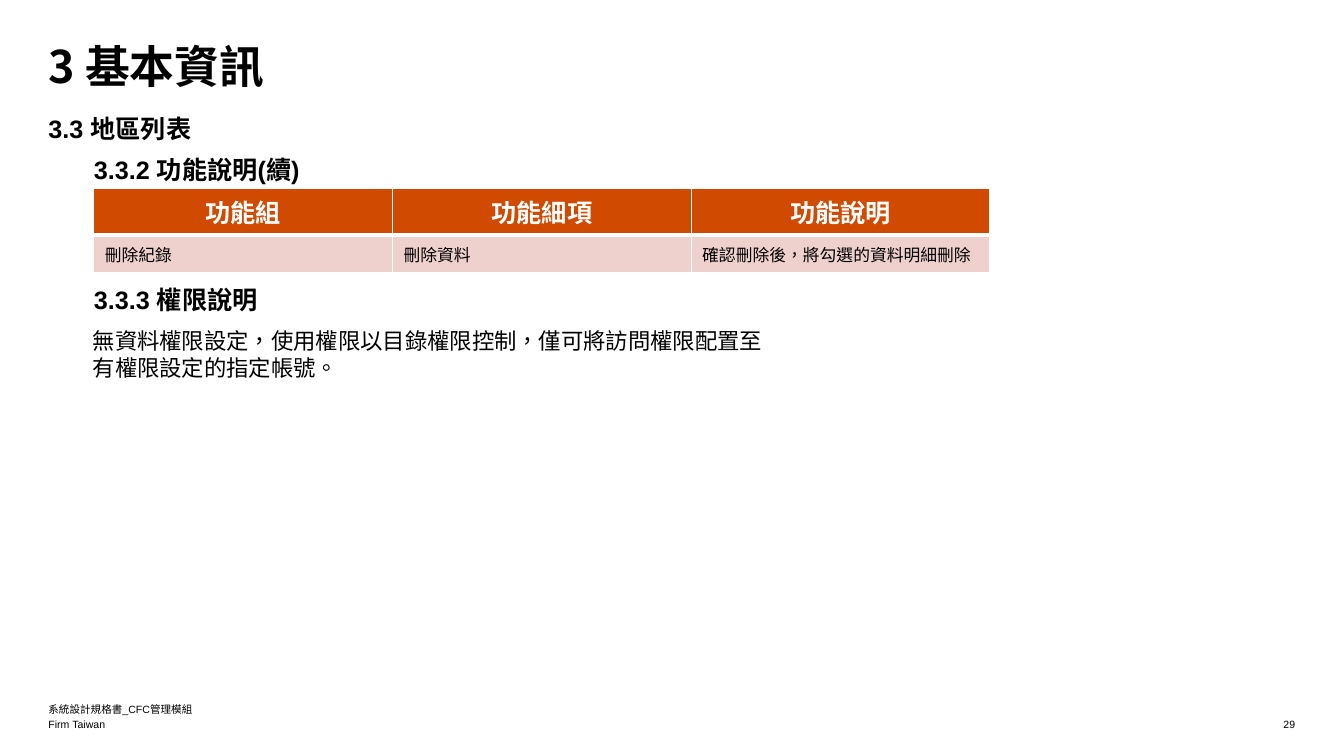
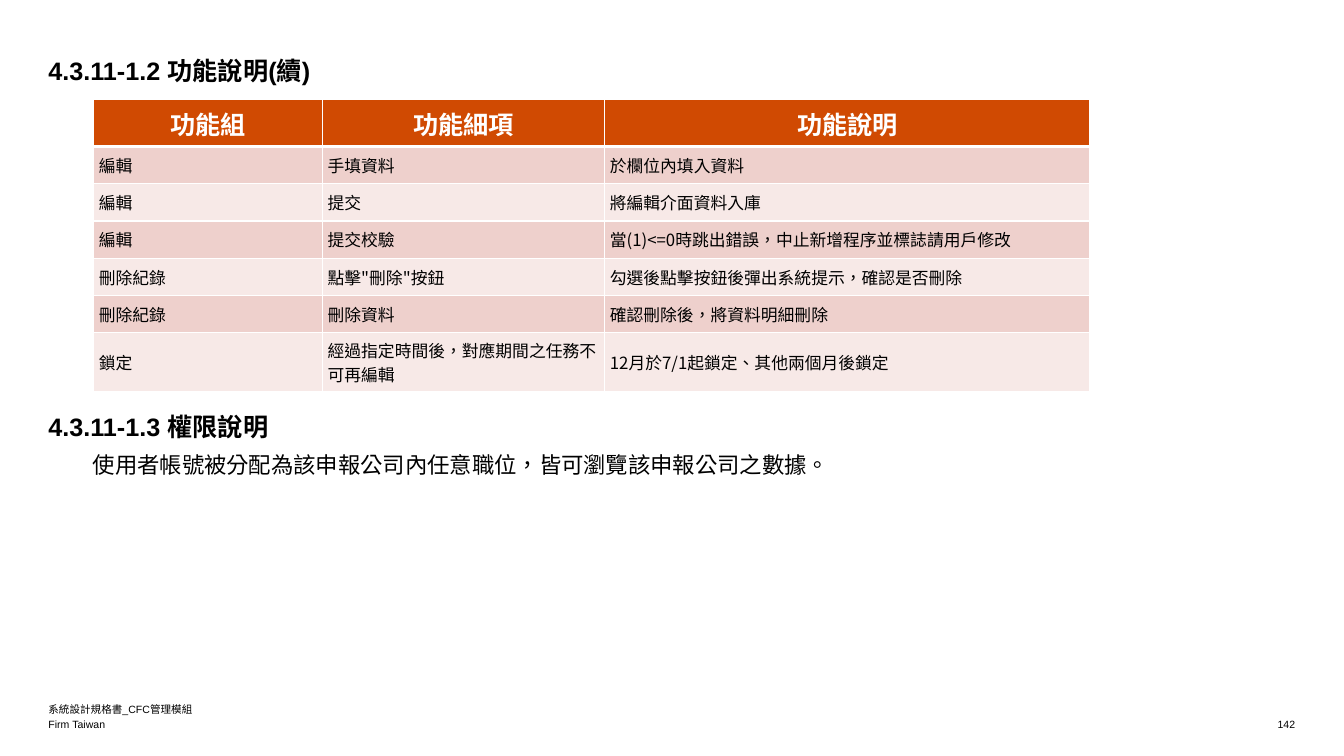
from dataclasses import dataclass

from lxml.etree import SubElement
from pptx import Presentation
from pptx.dml.color import RGBColor
from pptx.enum.lang import MSO_LANGUAGE_ID as Language
from pptx.enum.text import MSO_ANCHOR as Anchor, MSO_AUTO_SIZE as AutoSize, PP_ALIGN as Align
from pptx.oxml.ns import qn
from pptx.util import Pt

BLACK = RGBColor(0x00, 0x00, 0x00)
WHITE = RGBColor(0xFF, 0xFF, 0xFF)
ORANGE = RGBColor(0xD0, 0x4A, 0x02)
BANDS = (RGBColor(0xEE, 0xD0, 0xCC), RGBColor(0xF7, 0xE9, 0xE7))

LATIN = "Arial"
CHINESE = "Noto Sans CJK SC"
LEFT = 34.56
INDENT = 67
ROW_HEIGHT = 26.64
HEADER = ("功能組", "功能細項", "功能說明")


@dataclass(frozen=True)
class TextStyle:
    size: float
    font: str = LATIN
    bold: bool = False
    color: RGBColor = BLACK
    align: Align = Align.LEFT
    space_after: float = 0
    line_spacing: float = 1.0


TITLE = TextStyle(32, CHINESE, bold=True, line_spacing=0.85)
HEADING = TextStyle(18, bold=True, space_after=6)
BODY = TextStyle(16, CHINESE, space_after=6)
FOOTER = TextStyle(7.5)
PAGE_NUMBER = TextStyle(7.5, align=Align.RIGHT)
TABLE_HEADER = TextStyle(18, bold=True, color=WHITE, align=Align.CENTER)
TABLE_CELL = TextStyle(12, CHINESE)


@dataclass(frozen=True)
class Label:
    text: str
    left: float
    top: float
    width: float
    height: float
    style: TextStyle


@dataclass(frozen=True)
class TableRow:
    cells: tuple[str, str, str]
    height: float = ROW_HEIGHT
    padding: float = 0.72


@dataclass(frozen=True)
class FunctionTable:
    top: float
    widths: tuple[float, float, float]
    rows: tuple[TableRow, ...]
    cell_indent: float


@dataclass(frozen=True)
class Page:
    number: int
    title: Label
    labels: tuple[Label, ...]
    table: FunctionTable


def write_text(text_frame, text: str, style: TextStyle) -> None:
    paragraph = text_frame.paragraphs[0]
    paragraph.alignment = style.align
    paragraph.space_before = Pt(0)
    paragraph.space_after = Pt(style.space_after)
    paragraph.line_spacing = style.line_spacing
    run = paragraph.add_run()
    run.text = text
    font = run.font
    font.size = Pt(style.size)
    font.bold = style.bold
    font.color.rgb = style.color
    font.name = style.font
    font.language_id = Language.TRADITIONAL_CHINESE
    SubElement(run._r.get_or_add_rPr(), qn("a:ea"), typeface=CHINESE)


def fill_label(shape, label: Label, anchor: Anchor = Anchor.TOP) -> None:
    shape.left, shape.top = Pt(label.left), Pt(label.top)
    shape.width, shape.height = Pt(label.width), Pt(label.height)
    text_frame = shape.text_frame
    text_frame.margin_left = text_frame.margin_right = 0
    text_frame.margin_top = text_frame.margin_bottom = 0
    text_frame.word_wrap = True
    text_frame.auto_size = AutoSize.NONE
    text_frame.vertical_anchor = anchor
    write_text(text_frame, label.text, label.style)


def add_label(slide, label: Label, anchor: Anchor = Anchor.TOP) -> None:
    fill_label(slide.shapes.add_textbox(0, 0, 0, 0), label, anchor)


def add_footer(slide, number: int) -> None:
    for label in (
        Label("系統設計規格書_CFC管理模組", LEFT, 500.4, 431.28, 10.8, FOOTER),
        Label("Firm Taiwan", LEFT, 511.2, 431.28, 10.8, FOOTER),
        Label(str(number), 786.24, 511.2, 138.96, 10.8, PAGE_NUMBER),
    ):
        add_label(slide, label, Anchor.BOTTOM)


def set_borders(cell, top: float, bottom: float) -> None:
    properties = cell._tc.get_or_add_tcPr()
    for side, width in (("L", 1), ("R", 1), ("T", top), ("B", bottom)):
        line = SubElement(properties, qn(f"a:ln{side}"), w=str(Pt(width)))
        fill = SubElement(line, qn("a:solidFill"))
        SubElement(fill, qn("a:srgbClr"), val=str(WHITE))


def add_function_table(slide, content: FunctionTable) -> None:
    rows = (TableRow(HEADER), *content.rows)
    table = slide.shapes.add_table(
        len(rows), len(HEADER), Pt(INDENT), Pt(content.top),
        Pt(sum(content.widths)), Pt(sum(row.height for row in rows)),
    ).table
    for column, width in zip(table.columns, content.widths):
        column.width = Pt(width)
    for row_index, row in enumerate(rows):
        table.rows[row_index].height = Pt(row.height)
        is_header = row_index == 0
        for column_index, text in enumerate(row.cells):
            cell = table.cell(row_index, column_index)
            set_borders(cell, 3 if row_index == 1 else 1, 3 if is_header else 1)
            cell.fill.solid()
            cell.fill.fore_color.rgb = ORANGE if is_header else BANDS[(row_index - 1) % 2]
            if not is_header:
                cell.vertical_anchor = Anchor.MIDDLE
                cell.margin_left = Pt(content.cell_indent)
                cell.margin_right = cell.margin_top = cell.margin_bottom = Pt(row.padding)
            write_text(cell.text_frame, text, TABLE_HEADER if is_header else TABLE_CELL)


PAGES = (
    Page(
        29,
        Label("3 基本資訊", LEFT, 33.84, 889.92, 46.8, TITLE),
        (
            Label("3.3 地區列表", LEFT, 80.64, 130.32, 21.6, HEADING),
            Label("3.3.2 功能說明(續)", INDENT, 110.16, 260.64, 21.6, HEADING),
            Label("3.3.3 權限說明", INDENT, 203.04, 260.64, 21.6, HEADING),
            Label("無資料權限設定，使用權限以目錄權限控制，僅可將訪問權限配置至有權限設定的指定帳號。",
                  66.24, 234, 493.92, 38.88, BODY),
        ),
        FunctionTable(
            134.64, (213.36,) * 3,
            (TableRow(("刪除紀錄", "刪除資料", "確認刪除後，將勾選的資料明細刪除")),),
            cell_indent=7.92,
        ),
    ),
    Page(
        142,
        Label("4.3.11-1.2 功能說明(續)", LEFT, 39.6, 286.56, 21.6, HEADING),
        (
            Label("4.3.11-1.3 權限說明", LEFT, 293.76, 286.56, 21.6, HEADING),
            Label("使用者帳號被分配為該申報公司內任意職位，皆可瀏覽該申報公司之數據。",
                  66.24, 322.56, 536.4, 19.44, BODY),
        ),
        FunctionTable(
            71.28, (163.44, 201.6, 346.6),
            (
                TableRow(("編輯", "手填資料", "於欄位內填入資料")),
                TableRow(("編輯", "提交", "將編輯介面資料入庫")),
                TableRow(("編輯", "提交校驗", "當(1)<=0時跳出錯誤，中止新增程序並標誌請用戶修改")),
                TableRow(("刪除紀錄", "點擊\"刪除\"按鈕", "勾選後點擊按鈕後彈出系統提示，確認是否刪除")),
                TableRow(("刪除紀錄", "刪除資料", "確認刪除後，將資料明細刪除")),
                TableRow(("鎖定", "經過指定時間後，對應期間之任務不可再編輯", "12月於7/1起鎖定、其他兩個月後鎖定"),
                         height=36.72, padding=3.6),
            ),
            cell_indent=3.6,
        ),
    ),
)


def main() -> None:
    presentation = Presentation()
    presentation.slide_width, presentation.slide_height = Pt(960), Pt(540)
    title_only = presentation.slide_layouts[5]
    for page in PAGES:
        slide = presentation.slides.add_slide(title_only)
        fill_label(slide.shapes.title, page.title)
        add_function_table(slide, page.table)
        for label in page.labels:
            add_label(slide, label)
        add_footer(slide, page.number)
    presentation.save("out.pptx")


if __name__ == "__main__":
    main()
